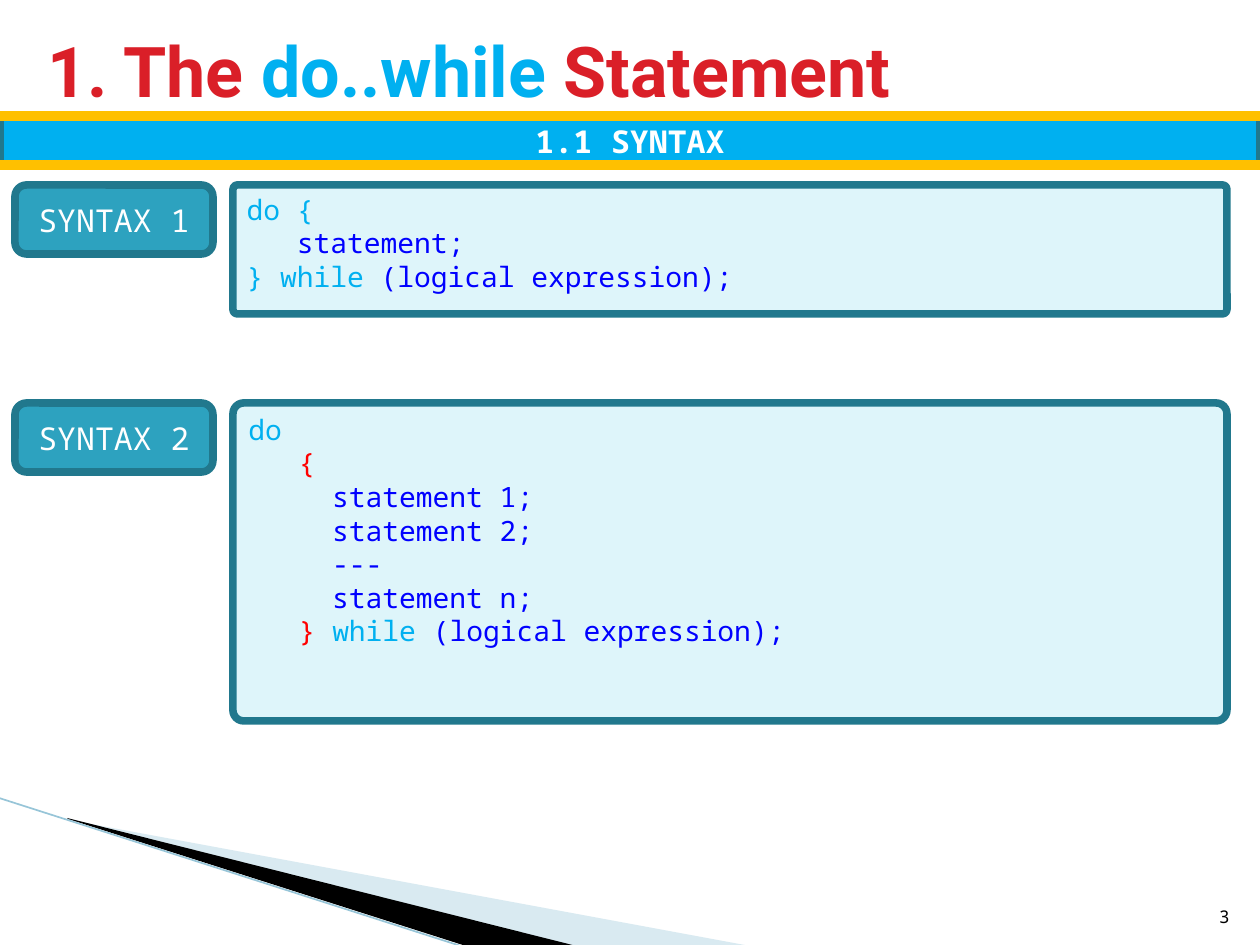
from lxml.etree import SubElement
from pptx import Presentation
from pptx.dml.color import RGBColor
from pptx.enum.shapes import MSO_CONNECTOR, MSO_SHAPE
from pptx.enum.text import MSO_ANCHOR, PP_ALIGN
from pptx.oxml.ns import qn
from pptx.util import Emu, Pt

PX = 914400 / 126
W, H = 1260, 945
MONO, SANS = "Noto Sans Mono", "Roboto"
WHITE = RGBColor(0xFF, 0xFF, 0xFF)
BLACK = RGBColor(0, 0, 0)
CRIMSON = RGBColor(0xDA, 0x1F, 0x28)
RED = RGBColor(0xFF, 0, 0)
BLUE = RGBColor(0, 0, 0xFF)
SKY = RGBColor(0, 0xB0, 0xF0)
GOLD = RGBColor(0xFF, 0xC0, 0)
TEAL = RGBColor(0x2D, 0xA2, 0xBF)
DARK_TEAL = RGBColor(0x21, 0x78, 0x8D)
PALE = RGBColor(0xDE, 0xF5, 0xFA)
MIST = RGBColor(0xA0, 0xCB, 0xDC)
STEEL = RGBColor(0x97, 0xC5, 0xD8)

SYNTAX_1 = [
    [("do {", SKY)],
    [("   statement;", BLUE)],
    [("} while ", SKY), ("(logical expression);", BLUE)],
]
SYNTAX_2 = [
    [("do", SKY)],
    [("   ", BLUE), ("{", RED)],
    [("     statement 1;", BLUE)],
    [("     statement 2;", BLUE)],
    [("     ---", BLUE)],
    [("     statement n;", BLUE)],
    [("   ", BLUE), ("} ", RED), ("while ", SKY), ("(logical expression);", BLUE)],
]


def px(*values):
    return [Emu(round(v * PX)) for v in values]


def write(sp, lines, size, font=MONO, bold=False, align=PP_ALIGN.LEFT, anchor=MSO_ANCHOR.MIDDLE):
    tf = sp.text_frame
    tf.word_wrap = True
    tf.vertical_anchor = anchor
    for i, line in enumerate(lines):
        p = tf.add_paragraph() if i else tf.paragraphs[0]
        p.alignment = align
        for text, color in line:
            r = p.add_run()
            r.text = text
            r.font.name = font
            r.font.size = Pt(size)
            r.font.bold = bold
            r.font.color.rgb = color


def add_box(s, kind, box, fill):
    sp = s.shapes.add_shape(kind, *px(*box))
    sp.shadow.inherit = False
    sp.fill.solid()
    sp.fill.fore_color.rgb = fill
    sp.line.color.rgb = DARK_TEAL
    sp.line.width = Pt(4.33)
    return sp


def add_line(s, x1, y1, x2, y2, color, width):
    cn = s.shapes.add_connector(MSO_CONNECTOR.STRAIGHT, *px(x1, y1, x2, y2))
    cn.line.color.rgb = color
    cn.line.width = Pt(width)
    SubElement(cn._element.spPr, qn("a:effectLst"))


def add_wedge(s, points, fill, alpha=100):
    fb = s.shapes.build_freeform(*points[0], scale=PX)
    fb.add_line_segments(points[1:], close=True)
    sp = fb.convert_to_shape()
    sp.shadow.inherit = False
    sp.fill.solid()
    sp.fill.fore_color.rgb = fill
    sp.line.fill.background()
    if alpha < 100:
        clr = sp._element.spPr.find(qn("a:solidFill"))[0]
        SubElement(clr, qn("a:alpha")).set("val", str(alpha * 1000))


def add_corner(s, x, y):
    def at(*points):
        return [(x + dx, y + dy) for dx, dy in points]

    add_wedge(s, at((69, 22), (750, 148), (575, 148), (69, 21)), MIST, 40)
    add_wedge(s, at((67, 20), (576, 148), (469, 149), (68, 21)), BLACK)
    add_line(s, x - 1, y, x + 467, y + 150, STEEL, 0.95)


def add_title(s, x, y, w, h):
    sp = s.shapes.title
    sp.left, sp.top, sp.width, sp.height = px(x, y, w, h)
    parts = [("1. The ", CRIMSON), ("do..while ", SKY), ("Statement", CRIMSON)]
    write(sp, [parts], 40, SANS, True)


def add_banner(s, x, y, w, h):
    sp = add_box(s, MSO_SHAPE.RECTANGLE, (x, y, w, h), SKY)
    write(sp, [[("1.1 SYNTAX", WHITE)]], 18, bold=True, align=PP_ALIGN.CENTER)
    for edge in (y, y + h):
        add_line(s, x, edge, x + w, edge, GOLD, 6)


def add_syntax(s, x, y, w, h, label, code):
    sp = add_box(s, MSO_SHAPE.ROUNDED_RECTANGLE, (x + 218, y, w - 218, h), PALE)
    sp.adjustments[0] = 0.034
    write(sp, code, 16, anchor=MSO_ANCHOR.TOP)
    sp = add_box(s, MSO_SHAPE.ROUNDED_RECTANGLE, (x, y, 198, 69), TEAL)
    write(sp, [[(label, WHITE)]], 18, align=PP_ALIGN.CENTER)


def add_page_number(s, x, y, w, h):
    sp = s.shapes.add_textbox(*px(x, y, w, h))
    write(sp, [[("3", BLACK)]], 10, align=PP_ALIGN.RIGHT, anchor=MSO_ANCHOR.BOTTOM)


def main():
    prs = Presentation()
    prs.slide_width, prs.slide_height = px(W, H)
    s = prs.slides.add_slide(prs.slide_layouts[5])
    add_corner(s, 0, 798)
    add_title(s, 35, 16, 1124, 107)
    add_banner(s, 0, 116, W, 49)
    add_syntax(s, 15, 185, 1212, 129, "SYNTAX 1", SYNTAX_1)
    add_syntax(s, 15, 403, 1212, 318, "SYNTAX 2", SYNTAX_2)
    add_page_number(s, 1192, 883, 50, 50)
    prs.save("out.pptx")


if __name__ == "__main__":
    main()
